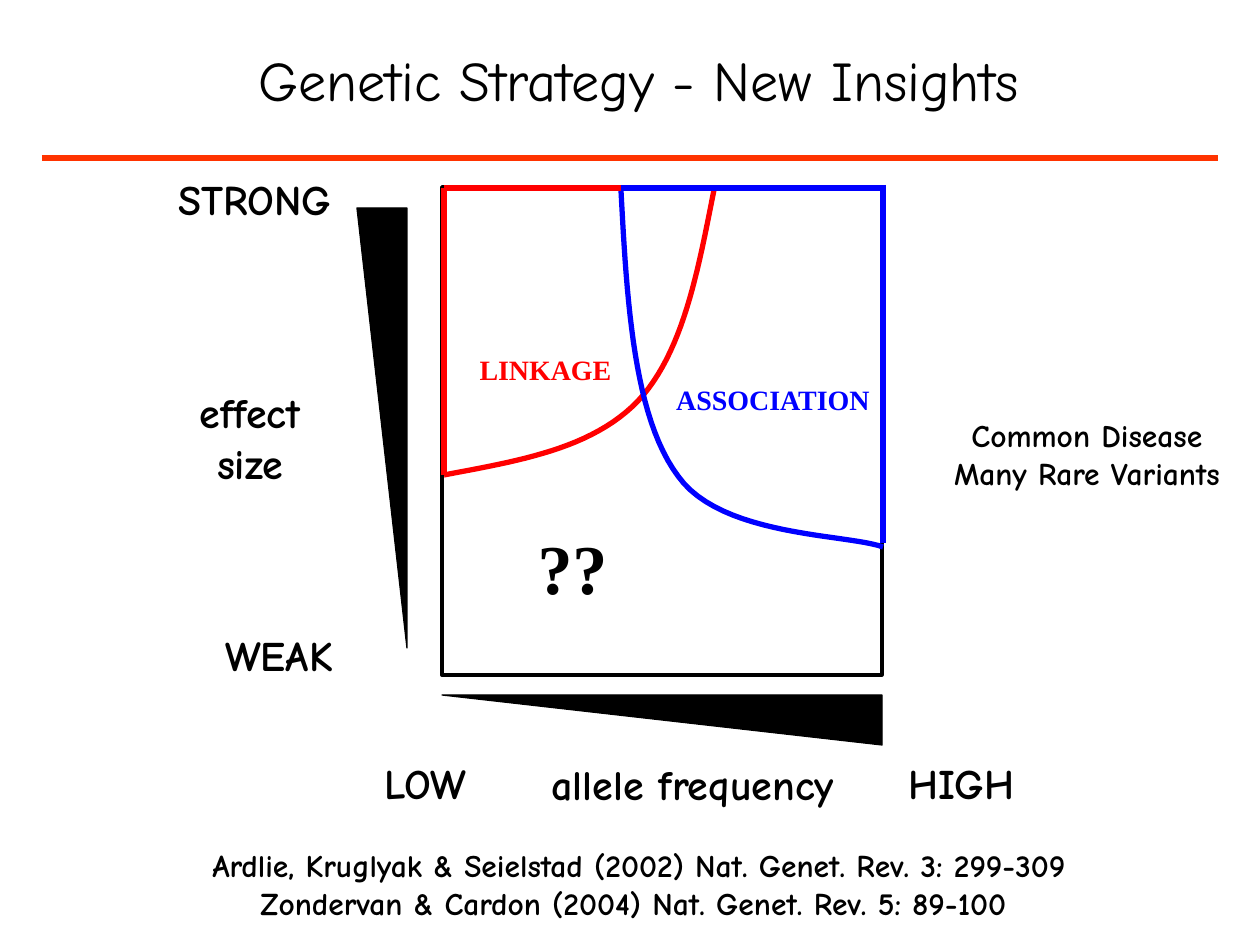
from lxml import etree
from pptx import Presentation
from pptx.dml.color import RGBColor
from pptx.enum.shapes import MSO_CONNECTOR, MSO_SHAPE
from pptx.enum.text import MSO_ANCHOR, PP_ALIGN
from pptx.oxml.ns import qn
from pptx.util import Emu, Pt

RECT, WEDGE = MSO_SHAPE.RECTANGLE, MSO_SHAPE.RIGHT_TRIANGLE
STRAIGHT = MSO_CONNECTOR.STRAIGHT
TOP, MIDDLE, CENTER = MSO_ANCHOR.TOP, MSO_ANCHOR.MIDDLE, PP_ALIGN.CENTER
SCALE = 914400 / 126
COMIC, TIMES = "Comic Neue", "Times New Roman"
COLORS = {"black": "000000", "white": "FFFFFF", "red": "FF0000",
          "blue": "0000FF", "rule": "FF3300"}

TITLE = "Genetic Strategy - New Insights"
AXES = [
    (["allele frequency"], (547, 759, 292, 50)),
    (["HIGH"], (903, 758, 117, 50)),
    (["LOW"], (378, 758, 94, 50)),
    (["effect", "size"], (194, 387, 112, 101)),
    (["WEAK"], (218, 630, 122, 50)),
    (["STRONG"], (174, 174, 162, 50)),
]
NOTES = [
    (["Ardlie, Kruglyak & Seielstad (2002) Nat. Genet. Rev. 3: 299-309",
      "Zondervan & Cardon (2004) Nat. Genet. Rev. 5: 89-100 "],
     (193, 840, 892, 88)),
    (["Common Disease", "Many Rare Variants"], (941, 410, 292, 88)),
]
ZONES = [
    ("LINKAGE", (472, 350, 147, 38), "red"),
    ("ASSOCIATION", (668, 380, 210, 38), "blue"),
]
FRAME = (442, 187, 440, 488)
# Each curve is a start point followed by Bezier triples.
LINKAGE = [(714, 190), (698, 271), (683, 353), (638, 401),
           (592, 449), (518, 461), (444, 475)]
ASSOC = [(621, 190), (627, 304), (634, 417), (678, 476),
         (721, 537), (848, 534), (883, 547)]
EDGES = [
    ((444, 188), (444, 475), "red"),
    ((444, 188), (714, 188), "red"),
    ((621, 188), (883, 188), "blue"),
    ((883, 185), (883, 543), "blue"),
    ((42, 158), (1218, 158), "rule"),
]


def px(n):
    return Emu(round(n * SCALE))


def color(name):
    return RGBColor.from_string(COLORS[name])


def stroke(line, name, width):
    line.color.rgb = color(name)
    line.width = Pt(width)


def add_text(shapes, lines, box, size=24, font=COMIC, ink="black", bold=True,
             pad=(0, 0), anchor=TOP, wrap=False, fill=None):
    left, top, width, height = map(px, box)
    if fill:
        shape = shapes.add_shape(RECT, left, top, width, height)
        shape.shadow.inherit = False
        shape.fill.solid()
        shape.fill.fore_color.rgb = color(fill)
        shape.line.fill.background()
    else:
        shape = shapes.add_textbox(left, top, width, height)
    frame = shape.text_frame
    frame.word_wrap = wrap
    frame.vertical_anchor = anchor
    frame.margin_left = frame.margin_right = px(pad[0])
    frame.margin_top = frame.margin_bottom = px(pad[1])
    frame.text = "\n".join(lines)
    for para in frame.paragraphs:
        para.alignment = CENTER
        para.font.size = Pt(size)
        para.font.name = font
        para.font.bold = bold
        para.font.color.rgb = color(ink)


def add_line(shapes, start, end, name):
    line = shapes.add_connector(STRAIGHT, *map(px, start + end))
    stroke(line.line, name, 3)
    etree.SubElement(line._element.spPr, qn("a:effectLst"))


def add_curve(shapes, knots, name, steps=24):
    """Draw a chain of cubic Beziers as a fine open outline."""
    points = []
    for i in range(0, len(knots) - 1, 3):
        for step in range(1, steps + 1):
            t = step / steps
            parts = ((1 - t) ** 3, 3 * t * (1 - t) ** 2,
                     3 * t * t * (1 - t), t ** 3)
            points.append(tuple(
                px(sum(w * knot[axis] for w, knot in zip(parts, knots[i:i + 4])))
                for axis in (0, 1)))
    pen = shapes.build_freeform(*map(px, knots[0]))
    pen.add_line_segments(points, close=False)
    curve = pen.convert_to_shape()
    curve.shadow.inherit = False
    curve.fill.background()
    stroke(curve.line, name, 3)


def add_wedge(shapes, box, turn, flip=False):
    wedge = shapes.add_shape(WEDGE, *map(px, box))
    wedge.shadow.inherit = False
    wedge.fill.solid()
    wedge.fill.fore_color.rgb = color("black")
    stroke(wedge.line, "black", 0.75)
    wedge.rotation = turn
    if flip:
        wedge._element.spPr.xfrm.set("flipV", "1")


def main():
    deck = Presentation()
    deck.slide_width, deck.slide_height = px(1260), px(945)
    shapes = deck.slides.add_slide(deck.slide_layouts[6]).shapes

    add_text(shapes, [TITLE], (18, 0, 1242, 158), size=32, bold=False,
             pad=(13, 6), anchor=MIDDLE, wrap=True)
    for lines, box in AXES:
        add_text(shapes, lines, box)

    frame = shapes.add_shape(RECT, *map(px, FRAME))
    frame.shadow.inherit = False
    frame.fill.background()
    stroke(frame.line, "black", 2)

    add_curve(shapes, LINKAGE, "red")
    for label, box, ink in ZONES:
        add_text(shapes, [label], box, size=16, font=TIMES, ink=ink,
                 anchor=MIDDLE, fill="white")
    add_curve(shapes, ASSOC, "blue")
    for start, end, name in EDGES:
        add_line(shapes, start, end, name)
    add_text(shapes, ["??"], (537, 525, 71, 84), size=40, font=TIMES)

    add_wedge(shapes, (442, 695, 440, 50), 180)
    add_wedge(shapes, (162, 403, 440, 50), 90, flip=True)
    for lines, box in NOTES:
        add_text(shapes, lines, box, size=18, pad=(13, 6))

    deck.save("out.pptx")


if __name__ == "__main__":
    main()
